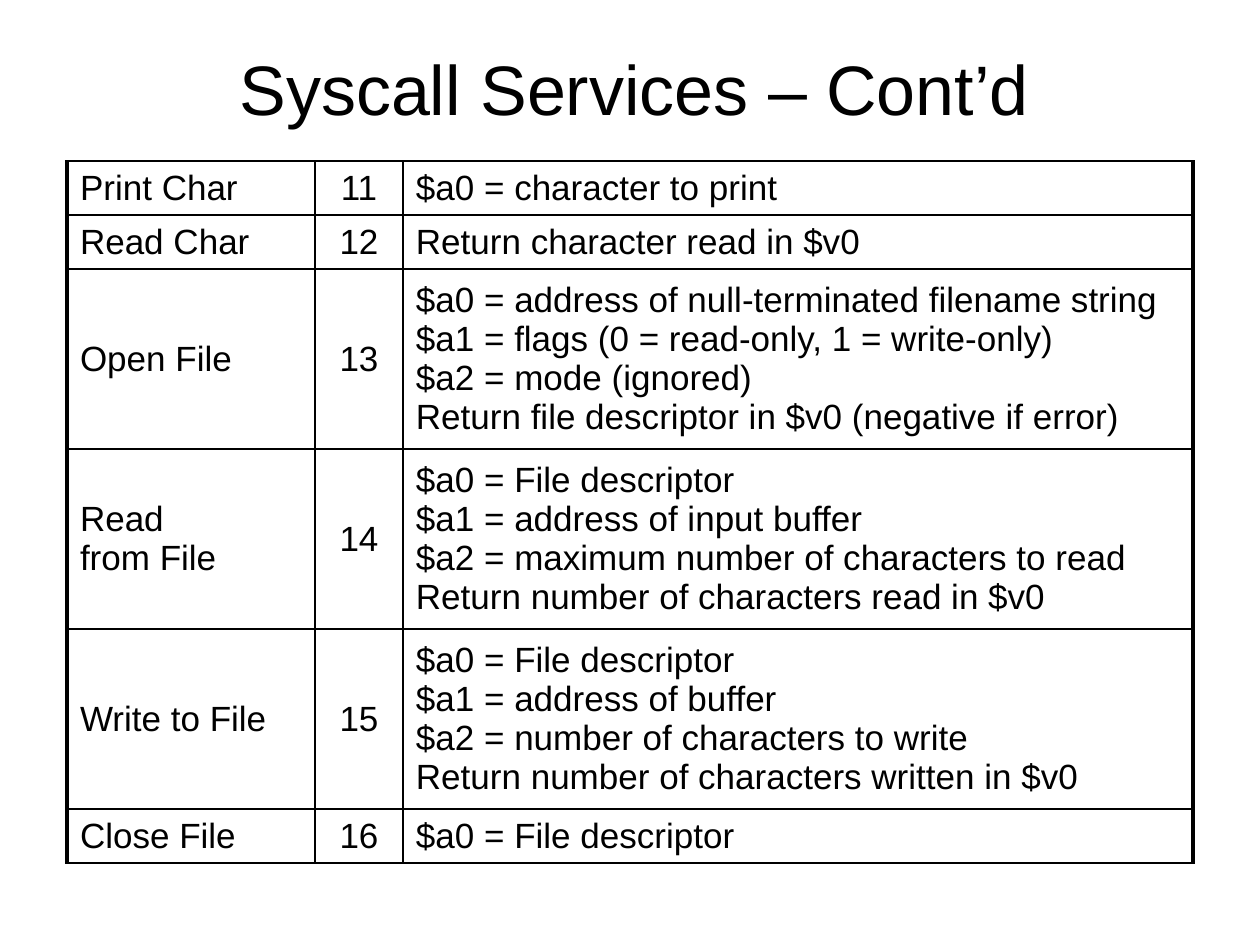
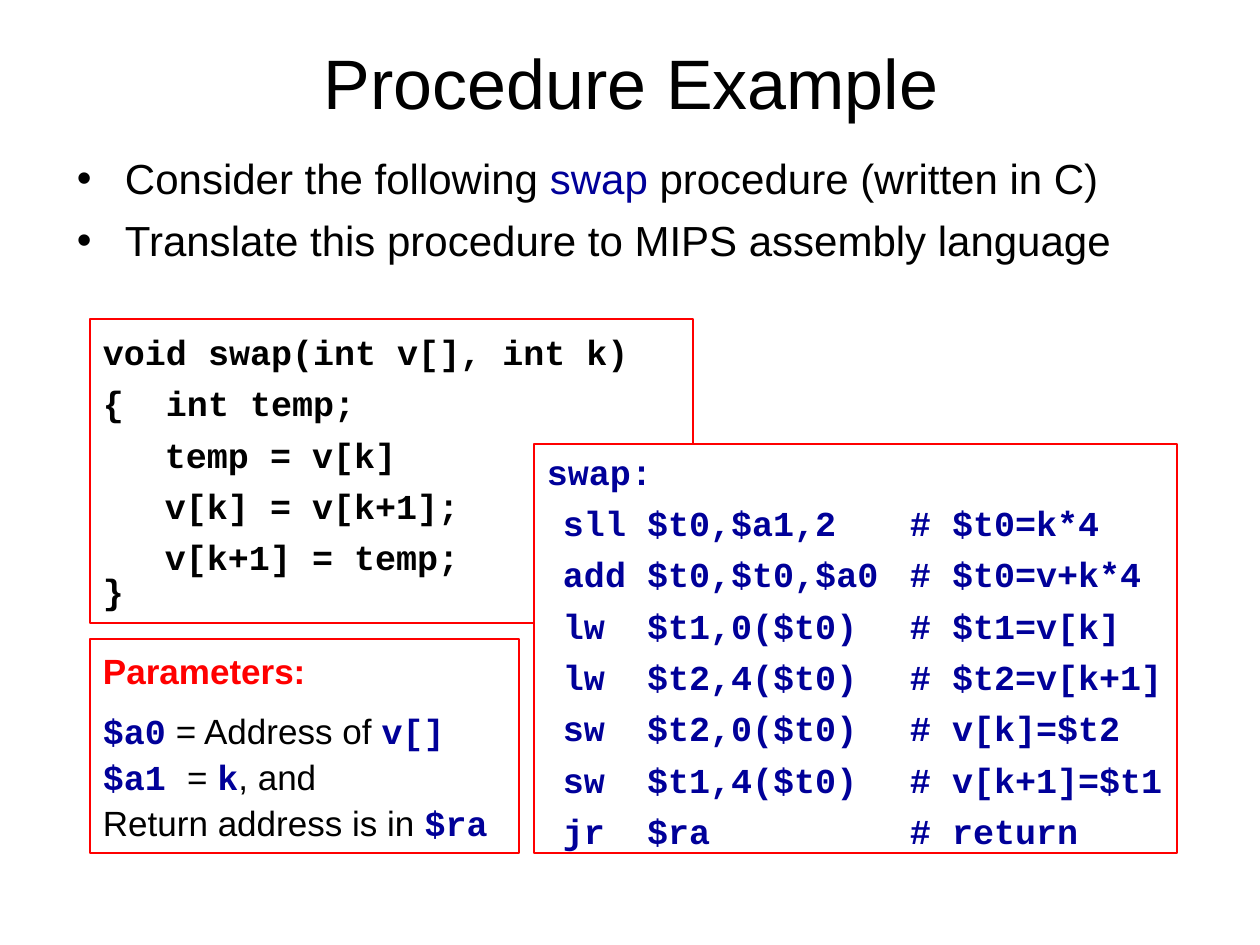
import pptx
import pptx.util
import pptx.dml.color
import pptx.enum.shapes
import pptx.enum.text
import pptx.oxml
import pptx.oxml.ns

COLORS = {"text": "000000", "code": "000099", "accent": "FF0000", "paper": "FFFFFF"}
SANS, MONO = "Arial", "Courier New"
TITLE_SIZE, BODY_SIZE, TEXT_SIZE = 40, 24, 20
INSET_X, INSET_Y = 13, 6

# Run styles: font, colour, bold
PLAIN = (SANS, "text", False)
HEADING = (SANS, "accent", True)
KEYWORD = (SANS, "code", False)
SOURCE = (MONO, "text", True)
CODE = (MONO, "code", True)

SERVICES = [
    ("Print Char", "11", "$a0 = character to print"),
    ("Read Char", "12", "Return character read in $v0"),
    ("Open File", "13",
     "$a0 = address of null-terminated filename string "
     "$a1 = flags (0 = read-only, 1 = write-only)\n"
     "$a2 = mode (ignored)\n"
     "Return file descriptor in $v0 (negative if error)"),
    ("Read\nfrom File", "14",
     "$a0 = File descriptor\n$a1 = address of input buffer\n"
     "$a2 = maximum number of characters to read\n"
     "Return number of characters read in $v0"),
    ("Write to File", "15",
     "$a0 = File descriptor\n$a1 = address of buffer\n"
     "$a2 = number of characters to write\n"
     "Return number of characters written in $v0"),
    ("Close File", "16", "$a0 = File descriptor"),
]

BULLETS = [
    [("Consider the following ", PLAIN), ("swap", KEYWORD),
     (" procedure (written in C)", PLAIN)],
    [("Translate this procedure to MIPS assembly language", PLAIN)],
]

PARAMETERS = [
    [("Parameters:", HEADING)],
    [("$a0", CODE), (" = Address of ", PLAIN), ("v[]", CODE)],
    [("$a1 ", CODE), ("= ", PLAIN), ("k", CODE), (", and", PLAIN)],
    [("Return address is in ", PLAIN), ("$ra", CODE)],
]

C_LINES = [
    "void swap(int v[], int k)",
    "{  int temp;",
    "\ttemp = v[k]",
    "\tv[k] = v[k+1];",
    "\tv[k+1] = temp;",
    "}",
]

ASSEMBLY_LINES = [
    "swap:",
    "\tsll $t0,$a1,2\t# $t0=k*4",
    "\tadd $t0,$t0,$a0\t# $t0=v+k*4",
    "\tlw  $t1,0($t0)\t# $t1=v[k]",
    "\tlw  $t2,4($t0)\t# $t2=v[k+1]",
    "\tsw  $t2,0($t0)\t# v[k]=$t2",
    "\tsw  $t1,4($t0)\t# v[k+1]=$t1",
    "\tjr  $ra\t# return",
]


def px(length):
    return pptx.util.Emu(round(length * 914400 / 126))


def rgb(name):
    return pptx.dml.color.RGBColor.from_string(COLORS[name])


def add_xml(parent, tag, **attributes):
    element = pptx.oxml.parse_xml(f"<{tag} {pptx.oxml.ns.nsdecls('a')}/>")
    for name, value in attributes.items():
        element.set(name, str(value))
    parent.append(element)
    return element


def style_run(run, style, size):
    font_name, color, bold = style
    run.font.name = font_name
    run.font.size = pptx.util.Pt(size)
    run.font.bold = bold
    run.font.color.rgb = rgb(color)


def fill_text(frame, lines, size, space_before=0):
    """Write one paragraph for each line, a line being a list of (text, style)."""
    for index, line in enumerate(lines):
        paragraph = frame.paragraphs[0] if index == 0 else frame.add_paragraph()
        paragraph.alignment = pptx.enum.text.PP_ALIGN.LEFT
        paragraph.space_before = pptx.util.Pt(space_before)
        for text, style in line:
            run = paragraph.add_run()
            run.text = text
            style_run(run, style, size)


def set_tabs(frame, stops):
    for paragraph in frame.paragraphs:
        tab_list = add_xml(paragraph._p.get_or_add_pPr(), "a:tabLst")
        for stop in stops:
            add_xml(tab_list, "a:tab", pos=px(stop), algn="l")


def set_frame(frame, anchor, inset_y=INSET_Y, right=INSET_X):
    frame.word_wrap = True
    frame.auto_size = pptx.enum.text.MSO_AUTO_SIZE.NONE
    frame.vertical_anchor = anchor
    frame.margin_left, frame.margin_right = px(INSET_X), px(right)
    frame.margin_top = frame.margin_bottom = px(inset_y)


def add_titled_slide(presentation, title, left, top):
    slide = presentation.slides.add_slide(presentation.slide_layouts[5])
    shape = slide.shapes.title
    shape.left, shape.top, shape.width, shape.height = map(px, (left, top, 1134, 158))
    shape.text_frame.text = title
    set_frame(shape.text_frame, pptx.enum.text.MSO_ANCHOR.MIDDLE)
    paragraph = shape.text_frame.paragraphs[0]
    paragraph.alignment = pptx.enum.text.PP_ALIGN.CENTER
    style_run(paragraph.runs[0], PLAIN, TITLE_SIZE)
    return slide


def set_borders(cell, widths):
    properties = cell._tc.get_or_add_tcPr()
    for side, width in zip("LRTB", widths):
        line = add_xml(properties, f"a:ln{side}", w=pptx.util.Pt(width))
        add_xml(add_xml(line, "a:solidFill"), "a:srgbClr", val=COLORS["text"])


def add_services_table(slide, left, top):
    columns = (248, 88, 790)
    heights = [180 if "\n" in row[2] else 54 for row in SERVICES]
    table = slide.shapes.add_table(
        len(SERVICES), len(columns),
        *map(px, (left, top, sum(columns), sum(heights)))).table
    table.first_row = table.horz_banding = False
    for column, width in zip(table.columns, columns):
        column.width = px(width)
    for row_index, (row, height) in enumerate(zip(SERVICES, heights)):
        table.rows[row_index].height = px(height)
        for column_index, text in enumerate(row):
            cell = table.cell(row_index, column_index)
            fill_text(cell.text_frame,
                      [[(line, PLAIN)] for line in text.split("\n")], TEXT_SIZE)
            cell.vertical_anchor = pptx.enum.text.MSO_ANCHOR.MIDDLE
            cell.margin_left = cell.margin_right = px(INSET_X)
            cell.margin_top = cell.margin_bottom = px(INSET_Y)
            if column_index == 1:
                cell.text_frame.paragraphs[0].alignment = pptx.enum.text.PP_ALIGN.CENTER
            # Thicker outer edges at the left and right
            set_borders(cell, (2.25 if column_index == 0 else 1,
                               2.25 if column_index == 2 else 1, 1, 1))
            cell.fill.background()


def add_bullets(slide, left, top, width, height):
    frame = slide.shapes.add_textbox(*map(px, (left, top, width, height))).text_frame
    set_frame(frame, pptx.enum.text.MSO_ANCHOR.TOP)
    fill_text(frame, BULLETS, BODY_SIZE, 6.4)
    for paragraph in frame.paragraphs:
        properties = paragraph._p.get_or_add_pPr()
        properties.set("marL", str(px(48)))
        properties.set("indent", str(px(-48)))
        add_xml(properties, "a:buFont", typeface=SANS)
        add_xml(properties, "a:buChar", char="•")


def add_red_box(slide, left, top, width, height):
    box = slide.shapes.add_shape(pptx.enum.shapes.MSO_SHAPE.RECTANGLE,
                                 *map(px, (left, top, width, height)))
    box.shadow.inherit = False
    box.fill.background()
    box.line.color.rgb = rgb("accent")
    box.line.width = pptx.util.Pt(1.5)
    return box


def add_parameters(slide, *place):
    frame = add_red_box(slide, *place).text_frame
    set_frame(frame, pptx.enum.text.MSO_ANCHOR.TOP)
    fill_text(frame, PARAMETERS, TEXT_SIZE)
    for paragraph in frame.paragraphs:
        paragraph.line_spacing = 1.1
    frame.paragraphs[1].space_before = pptx.util.Pt(8)


def add_c_code(slide, *place):
    frame = add_red_box(slide, *place).text_frame
    set_frame(frame, pptx.enum.text.MSO_ANCHOR.MIDDLE, inset_y=13)
    fill_text(frame, [[(line, SOURCE)] for line in C_LINES], TEXT_SIZE, 5.35)
    closing_brace = frame.paragraphs[-1]
    closing_brace.space_before = pptx.util.Pt(0)
    closing_brace.line_spacing = 0.8
    set_tabs(frame, [62])


def add_assembly(slide, *place):
    box = add_red_box(slide, *place)
    box.fill.solid()
    box.fill.fore_color.rgb = rgb("paper")
    set_frame(box.text_frame, pptx.enum.text.MSO_ANCHOR.TOP, right=0)
    fill_text(box.text_frame, [[(line, CODE)] for line in ASSEMBLY_LINES],
              TEXT_SIZE, 5.35)
    set_tabs(box.text_frame, [16, 363])


def build_services_slide(presentation):
    slide = add_titled_slide(presentation, "Syscall Services – Cont’d", 67, 9)
    add_services_table(slide, 67, 161)


def build_procedure_slide(presentation):
    slide = add_titled_slide(presentation, "Procedure Example", 64, 3)
    add_bullets(slide, 64, 147, 1134, 140)
    add_parameters(slide, 90, 639, 429, 214)
    add_c_code(slide, 90, 319, 603, 304)
    add_assembly(slide, 534, 444, 643, 409)


def main():
    presentation = pptx.Presentation()
    presentation.slide_width, presentation.slide_height = px(1260), px(945)
    build_services_slide(presentation)
    build_procedure_slide(presentation)
    presentation.save("out.pptx")


if __name__ == "__main__":
    main()
